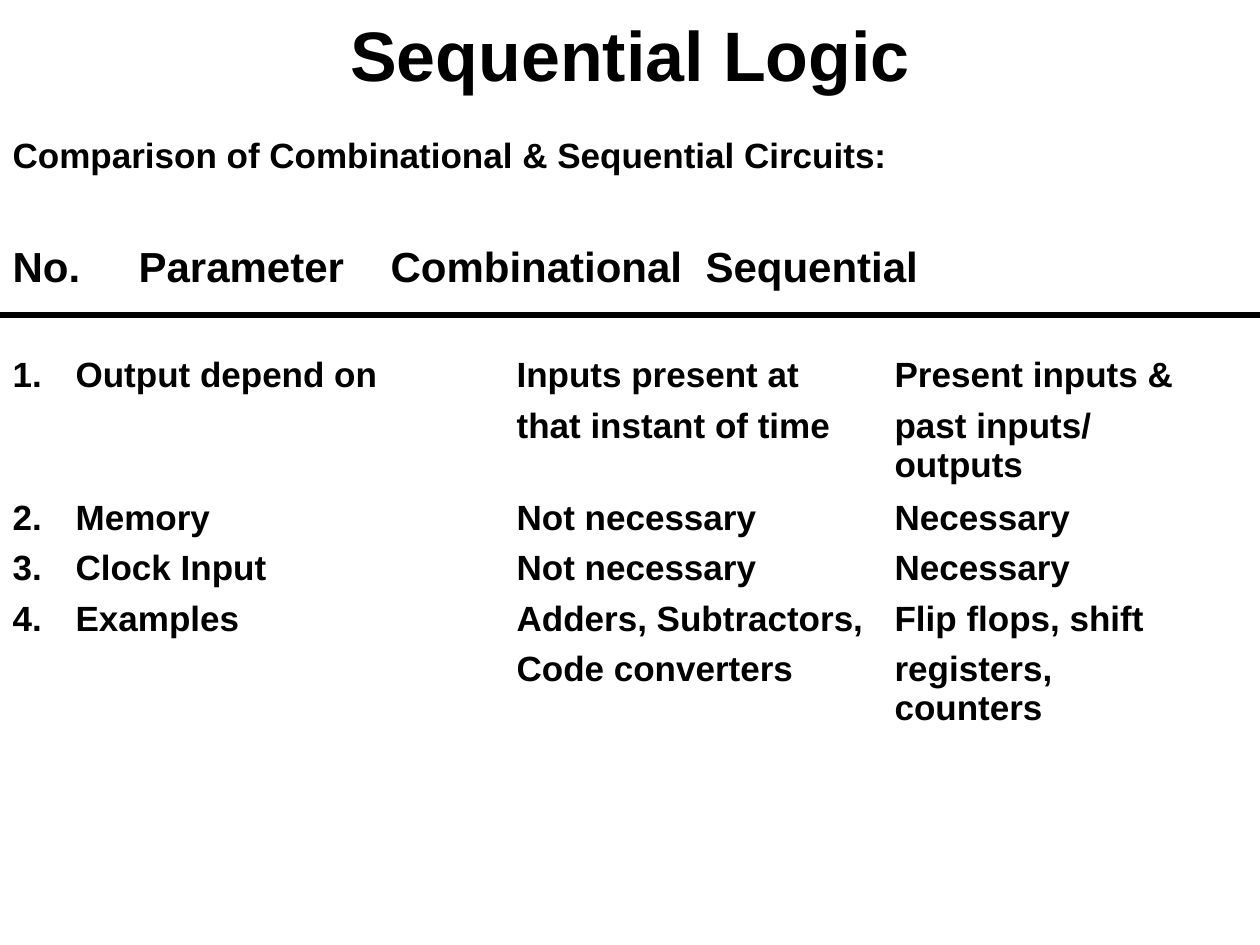
from dataclasses import dataclass
from typing import NamedTuple

from lxml import etree
from pptx import Presentation, util as u
from pptx.dml.color import RGBColor
from pptx.enum import shapes, text
from pptx.oxml.ns import qn

GRID = 0.1  # inches per grid unit: the slide is 100 columns by 75 rows
COLUMNS, ROWS = 100, 75
PLAIN_TABLE = "{2D5ABB26-0587-4C30-8999-92F81FD0307C}"


@dataclass(frozen=True)
class Theme:
    font: str = "Arial"
    ink: RGBColor = RGBColor(0, 0, 0)
    title: int = 40
    heading: int = 24
    body: int = 20
    rule: int = 3


class Area(NamedTuple):
    left: float
    top: float
    width: float
    height: float


class Line(NamedTuple):
    words: str
    size: int
    indent: float = 0
    tabs: tuple[float, ...] = ()
    format: dict = {}


class Column(NamedTuple):
    width: float
    indent: float
    tabs: tuple[float, ...] = ()


class Row(NamedTuple):
    height: float
    cells: tuple[str, str, str]


THEME = Theme()
COMPARISON_COLUMNS = (Column(35.6, 0.3, (7,)), Column(33.5, 4.7), Column(23.7, 1.2))
COMPARISON = (
    Row(3.6, ("1.\tOutput depend on", "Inputs present at", "Present inputs &")),
    Row(7.3, ("", "that instant of time", "past inputs/\noutputs")),
    Row(4, ("2.\tMemory", "Not necessary", "Necessary")),
    Row(4, ("3.\tClock Input", "Not necessary", "Necessary")),
    Row(4, ("4.\tExamples", "Adders, Subtractors,", "Flip flops, shift")),
    Row(6.9, ("", "Code converters", "registers, counters")),
)


def units(count: float) -> u.Length:
    """Length of a number of grid units."""
    return u.Inches(count * GRID)


def apply(target, values: dict) -> None:
    for name, value in values.items():
        setattr(target, name, value)


def write_line(paragraph, line: Line) -> None:
    properties = paragraph._p.get_or_add_pPr()
    properties.set("marL", str(units(line.indent)))
    properties.set("indent", "0")
    apply(paragraph, line.format)
    if line.tabs:
        tab_list = etree.SubElement(properties, qn("a:tabLst"))
        for stop in line.tabs:
            etree.SubElement(tab_list, qn("a:tab"), pos=str(units(stop)), algn="l")
    run = paragraph.add_run()
    run.text = line.words
    apply(run.font, {"name": THEME.font, "size": u.Pt(line.size), "bold": True})
    run.font.color.rgb = THEME.ink


def write_lines(frame, lines: list[Line]) -> None:
    for index, line in enumerate(lines):
        write_line(frame.add_paragraph() if index else frame.paragraphs[0], line)


def add_text(slide, area: Area, inset: float, lines: list[Line]) -> None:
    frame = slide.shapes.add_textbox(*map(units, area)).text_frame
    apply(frame, {"word_wrap": True, "margin_left": 0, "margin_right": 0,
                  "margin_top": units(inset), "margin_bottom": 0})
    write_lines(frame, lines)


def add_rule(slide, row: float) -> None:
    rule = slide.shapes.add_connector(
        shapes.MSO_CONNECTOR.STRAIGHT, 0, units(row), units(COLUMNS), units(row))
    rule.line.color.rgb = THEME.ink
    rule.line.width = u.Pt(THEME.rule)
    etree.SubElement(rule._element.spPr, qn("a:effectLst"))


def add_comparison(slide, left: float, top: float) -> None:
    width = sum(column.width for column in COMPARISON_COLUMNS)
    height = sum(row.height for row in COMPARISON)
    table = slide.shapes.add_table(
        len(COMPARISON), len(COMPARISON_COLUMNS),
        *map(units, Area(left, top, width, height))).table
    apply(table, {"first_row": False, "horz_banding": False})
    table._tbl.tblPr.find(qn("a:tableStyleId")).text = PLAIN_TABLE
    for index, column in enumerate(COMPARISON_COLUMNS):
        table.columns[index].width = units(column.width)
    for row_index, row in enumerate(COMPARISON):
        first = row_index == 0
        spacing = {"line_spacing": u.Pt(22.1)} if first else {}
        table.rows[row_index].height = units(row.height)
        for index, (column, words) in enumerate(zip(COMPARISON_COLUMNS, row.cells)):
            cell = table.cell(row_index, index)
            cell.fill.background()
            apply(cell, {"margin_left": 0, "margin_right": 0, "margin_bottom": 0,
                         "margin_top": 0 if first else units(0.4)})
            if words:
                write_lines(cell.text_frame, [
                    Line(part, THEME.body, column.indent, column.tabs, spacing)
                    for part in words.split("\n")])


def main() -> None:
    deck = Presentation()
    apply(deck, {"slide_width": units(COLUMNS), "slide_height": units(ROWS)})
    slide = deck.slides.add_slide(deck.slide_layouts[6])

    add_text(slide, Area(27.6, 0.3, 44.8, 6.9), 0.6, [
        Line("Sequential Logic", THEME.title,
             format={"alignment": text.PP_ALIGN.CENTER})])
    add_text(slide, Area(0.9, 10.3, 87.2, 12.4), 0.3, [
        Line("Comparison of Combinational & Sequential Circuits:", THEME.body, 0.1),
        Line("No.\tParameter\tCombinational\tSequential", THEME.heading, 0.1,
             (10.1, 40.1, 70.1), {"space_before": u.Pt(37)})])
    add_comparison(slide, 0.7, 28.3)
    add_rule(slide, 25)

    deck.save("out.pptx")


if __name__ == "__main__":
    main()
